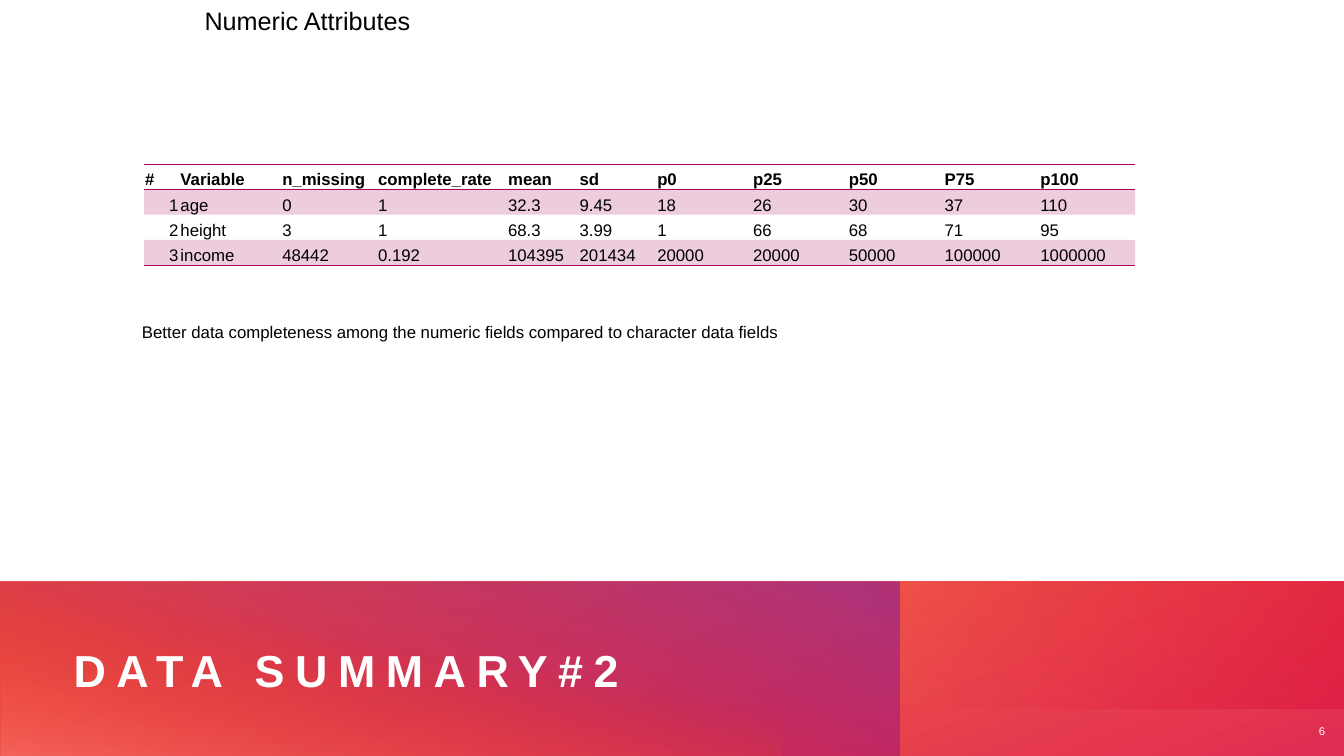
from dataclasses import dataclass

from pptx import Presentation
from pptx import util as u
from pptx.dml.color import RGBColor
from pptx.enum import shapes, text
from pptx.oxml import parse_xml
from pptx.oxml.ns import nsdecls, qn

PX = 9144  # 100 px to the inch
NO_STYLE = "{2D5ABB26-0587-4C30-8999-92F81FD0307C}"


@dataclass(frozen=True)
class Theme:
    font: str = "Arial"
    ink: str = "000000"
    white: str = "FFFFFF"
    accent: str = "A6025C"
    red: str = "DA002F"
    orange: str = "FE4A00"
    coral: str = "FF907A"
    purple: str = "92248E"
    title: int = 32
    heading: int = 18
    body: int = 12
    number: int = 8


T = Theme()

# frame, rotation, flipped, gradient stops (position, colour, opacity), angle
BANDS = [
    ((0, 577, 1334, 176), 0, False, [(0, T.red, 83), (100, T.orange, 74)], 250),
    ((358, 219, 176, 892), 90, True, [(5, T.purple, 68), (100, T.red, 43)], 160),
    ((300, 277, 176, 775), 270, False, [(42, T.orange, 0), (99, T.coral, 48)], 190),
    ((539, 577, 796, 126), 180, False, [(0, T.red, 37), (56, T.red, 0)], 330),
]

COLUMNS = [35, 101, 95, 129, 71, 77] + [95] * 5
ROW_HEIGHT = 25
ROWS = [
    ["#", "Variable", "n_missing", "complete_rate", "mean", "sd",
     "p0", "p25", "p50", "P75", "p100"],
    ["1", "age", "0", "1", "32.3", "9.45", "18", "26", "30", "37", "110"],
    ["2", "height", "3", "1", "68.3", "3.99", "1", "66", "68", "71", "95"],
    ["3", "income", "48442", "0.192", "104395", "201434",
     "20000", "20000", "50000", "100000", "1000000"],
]


def emu(frame):
    return [v * PX for v in frame]


def style(p, size, color=T.ink, bold=False):
    for r in p.runs:
        r.font.name = T.font
        r.font.size = u.Pt(size)
        r.font.bold = bold
        r.font.color.rgb = RGBColor.from_string(color)


def add_band(s, frame, rotation, flipped, stops, angle):
    sp = s.shapes.add_shape(shapes.MSO_SHAPE.RECTANGLE, *emu(frame))
    sp.shadow.inherit = False
    sp.line.fill.background()
    sp.rotation = rotation
    spPr = sp.element.spPr
    if flipped:
        spPr.find(qn("a:xfrm")).set("flipH", "1")
    gs = "".join(
        f'<a:gs pos="{pos * 1000}"><a:srgbClr val="{color}">'
        f'<a:alpha val="{alpha * 1000}"/></a:srgbClr></a:gs>'
        for pos, color, alpha in stops)
    sp.fill.background()
    spPr.replace(spPr.find(qn("a:noFill")), parse_xml(
        f'<a:gradFill {nsdecls("a")} rotWithShape="1"><a:gsLst>{gs}</a:gsLst>'
        f'<a:lin ang="{angle * 60000}" scaled="0"/></a:gradFill>'))


def set_title(s, words, frame):
    sp = s.shapes.title
    sp.element.getparent().append(sp.element)  # in front of the bands
    sp.left, sp.top, sp.width, sp.height = emu(frame)
    tf = sp.text_frame
    tf.text = words
    tf.auto_size = text.MSO_AUTO_SIZE.NONE
    tf.vertical_anchor = text.MSO_ANCHOR.MIDDLE
    tf.margin_left = tf.margin_top = tf.margin_right = tf.margin_bottom = 0
    p = tf.paragraphs[0]
    p.alignment = text.PP_ALIGN.LEFT
    style(p, T.title, T.white, bold=True)
    p.runs[0].font._element.set("spc", "750")


def add_text(s, words, frame, size, color=T.ink, wrap=True,
             align=text.PP_ALIGN.LEFT, anchor=text.MSO_ANCHOR.TOP):
    tf = s.shapes.add_textbox(*emu(frame)).text_frame
    tf.text = words
    tf.word_wrap = wrap
    tf.vertical_anchor = anchor
    p = tf.paragraphs[0]
    p.alignment = align
    style(p, size, color)


def add_border(cell, side):
    cell._tc.get_or_add_tcPr().insert(0, parse_xml(
        f'<a:{side} {nsdecls("a")} w="12700"><a:solidFill>'
        f'<a:srgbClr val="{T.accent}"/></a:solidFill></a:{side}>'))


def fill_band(cell):
    cell.fill.solid()
    cell.fill.fore_color.rgb = RGBColor.from_string(T.accent)
    color = cell._tc.tcPr.find(qn("a:solidFill")).find(qn("a:srgbClr"))
    color.append(parse_xml(f'<a:alpha {nsdecls("a")} val="20000"/>'))


def add_summary_table(s, left, top):
    frame = (left, top, sum(COLUMNS), ROW_HEIGHT * len(ROWS))
    gf = s.shapes.add_table(len(ROWS), len(COLUMNS), *emu(frame))
    gf.element.xpath(".//a:tableStyleId")[0].text = NO_STYLE
    table = gf.table
    for column, width in zip(table.columns, COLUMNS):
        column.width = width * PX
    for i, row in enumerate(ROWS):
        for j, words in enumerate(row):
            cell = table.cell(i, j)
            cell.text = words
            cell.vertical_anchor = text.MSO_ANCHOR.BOTTOM
            cell.margin_left = cell.margin_top = cell.margin_right = PX
            cell.margin_bottom = 0
            p = cell.text_frame.paragraphs[0]
            style(p, T.body, bold=i == 0)
            if i and j == 0:
                p.alignment = text.PP_ALIGN.RIGHT
            if i % 2:
                fill_band(cell)
            else:
                cell.fill.background()
            if i in (0, len(ROWS) - 1):
                add_border(cell, "lnB")
            if i == 0:
                add_border(cell, "lnT")


def main():
    prs = Presentation()
    prs.slide_width, prs.slide_height = u.Inches(13.33), u.Inches(7.5)
    s = prs.slides.add_slide(prs.slide_layouts[5])
    for band in BANDS:
        add_band(s, *band)
    set_title(s, "DATA SUMMARY#2", (73, 607, 788, 115))
    add_text(s, "6", (1276, 701, 48, 49), T.number, T.white,
             align=text.PP_ALIGN.RIGHT, anchor=text.MSO_ANCHOR.MIDDLE)
    add_text(s, "Numeric Attributes", (193, 0, 668, 40), T.heading)
    add_summary_table(s, 143, 163)
    add_text(s, "Better data completeness among the numeric fields "
             "compared to character data fields",
             (131, 314, 672, 30), T.body, wrap=False)
    prs.save("out.pptx")


if __name__ == "__main__":
    main()
